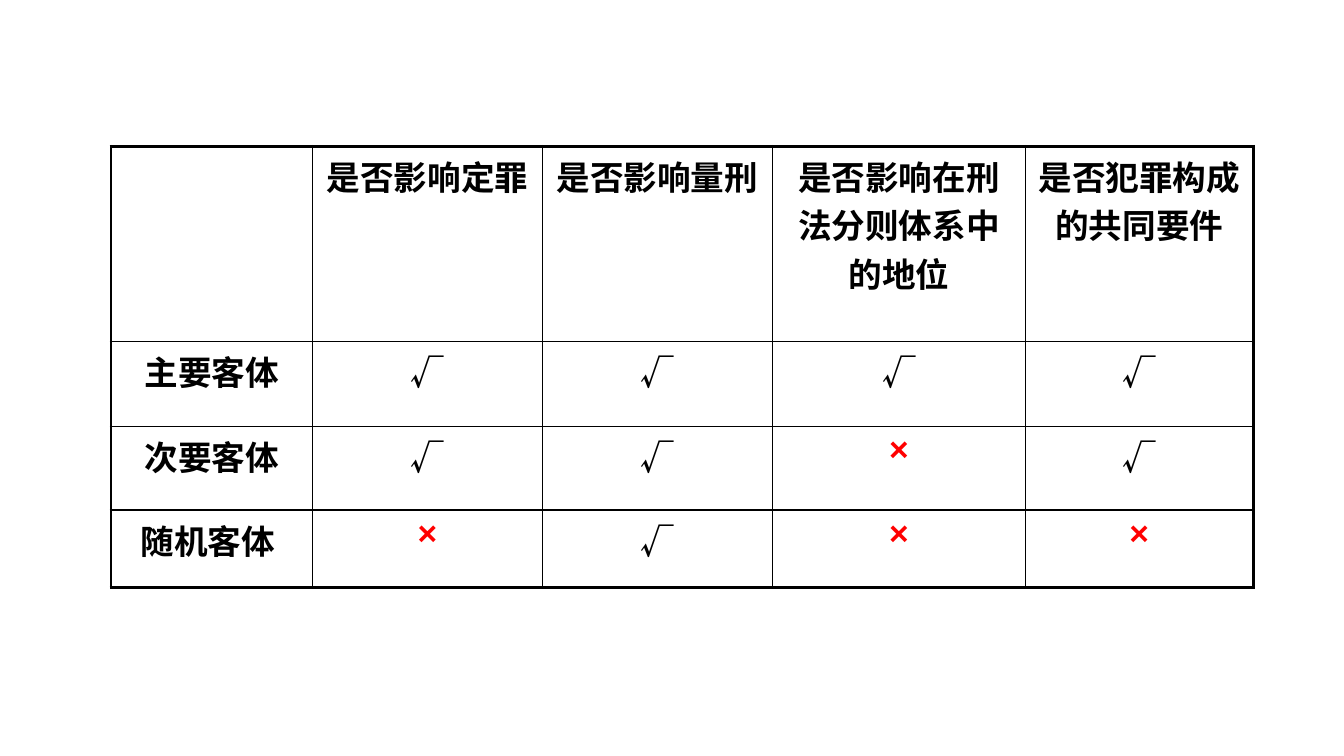
from lxml.etree import SubElement
from pptx import Presentation
from pptx.dml.color import RGBColor
from pptx.enum.text import PP_ALIGN
from pptx.oxml.ns import qn
from pptx.util import Inches, Pt

BLACK, RED, WHITE = "000000", "FF0000", "FFFFFF"
LATIN, CJK = "Arial", "Noto Sans CJK SC"
THIN, THICK = 1, 2.25


def rgb(value):
    return RGBColor.from_string(value)


class SlideBuilder:
    size = 24

    def __init__(self, slide):
        self.s = slide

    def border(self, cell, side, width):
        ln = SubElement(cell._tc.get_or_add_tcPr(), qn(f"a:ln{side}"), w=str(Pt(width)))
        fill = SubElement(ln, qn("a:solidFill"))
        SubElement(fill, qn("a:srgbClr"), val=BLACK)

    def text(self, cell, text):
        p = cell.text_frame.paragraphs[0]
        p.alignment = PP_ALIGN.CENTER
        if not text:
            return
        r = p.add_run()
        r.text = text
        r.font.size = Pt(self.size)
        r.font.bold = True
        r.font.name = CJK if text == "√" else LATIN
        r.font.color.rgb = rgb(RED if text == "×" else BLACK)
        SubElement(r.font._element, qn("a:ea"), typeface=CJK)

    def table(self, left, top, widths, heights, rows):
        n_rows, n_cols = len(heights), len(widths)
        tbl = self.s.shapes.add_table(
            n_rows, n_cols, Inches(left), Inches(top),
            Inches(sum(widths)), Inches(sum(heights))).table
        tbl.first_row = tbl.horz_banding = False
        for col, width in zip(tbl.columns, widths):
            col.width = Inches(width)
        for row, height in zip(tbl.rows, heights):
            row.height = Inches(height)
        for i, row in enumerate(rows):
            for j, text in enumerate(row):
                cell = tbl.cell(i, j)
                # Thick lines on the outer frame only
                outer = {"L": j == 0, "R": j == n_cols - 1,
                         "T": i == 0, "B": i == n_rows - 1}
                for side, is_outer in outer.items():
                    self.border(cell, side, THICK if is_outer else THIN)
                cell.fill.solid()
                cell.fill.fore_color.rgb = rgb(WHITE)
                self.text(cell, text)


def main():
    prs = Presentation()
    prs.slide_width, prs.slide_height = Inches(13.33), Inches(7.5)
    builder = SlideBuilder(prs.slides.add_slide(prs.slide_layouts[6]))

    # Comparison of the three kinds of object
    builder.table(
        1.1, 1.45, [2, 2.28, 2.28, 2.51, 2.26], [1.94, 0.84, 0.83, 0.77],
        [
            ["", "是否影响定罪", "是否影响量刑",
             "是否影响在刑法分则体系中的地位", "是否犯罪构成的共同要件"],
            ["主要客体", "√", "√", "√", "√"],
            ["次要客体", "√", "√", "×", "√"],
            ["随机客体 ", "×", "√", "×", "×"],
        ])
    prs.save("out.pptx")


if __name__ == "__main__":
    main()
